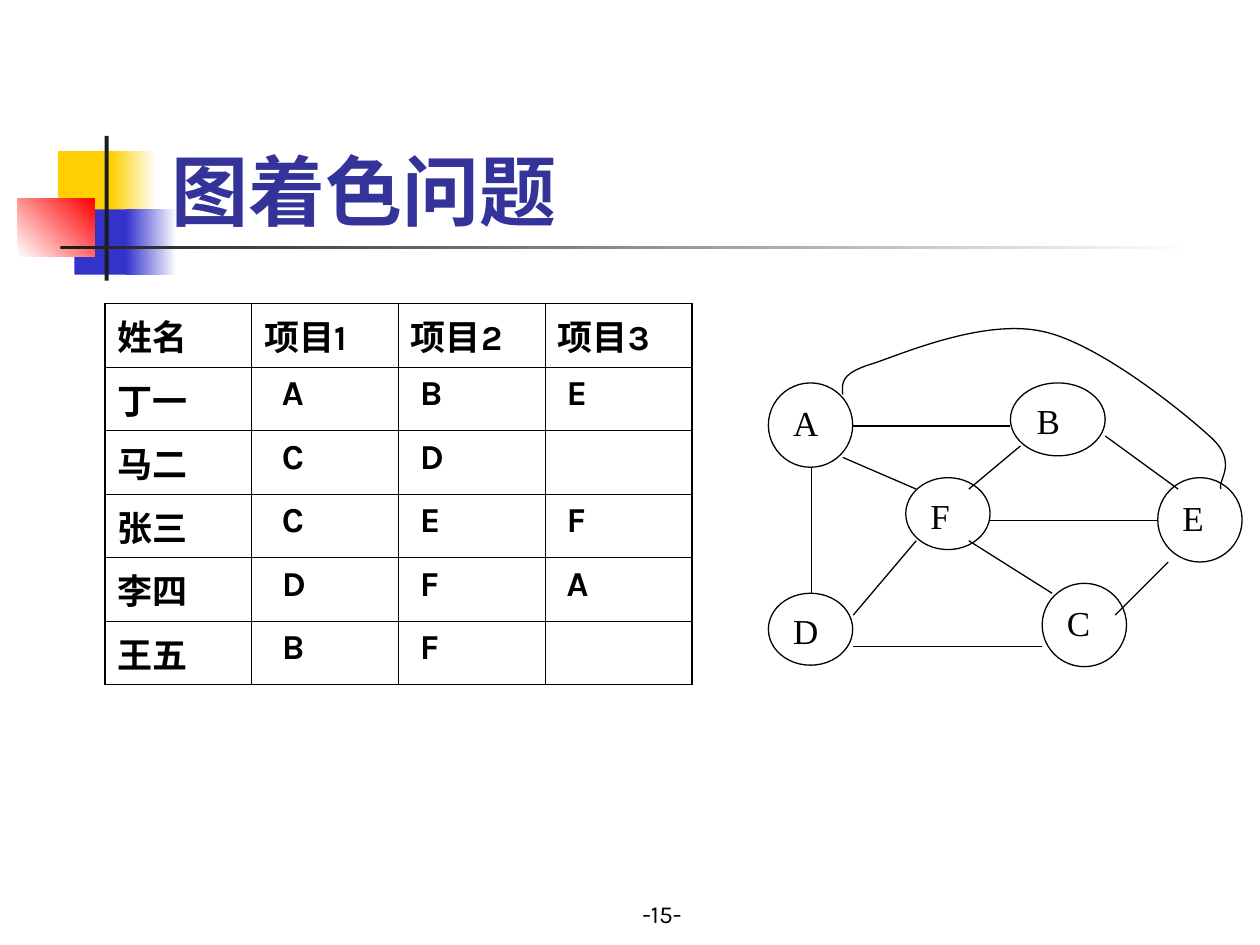
"""Build the graph colouring slide: entry table and conflict graph."""
from lxml import etree
from pptx import Presentation
from pptx import util as u
from pptx.dml import color
from pptx.enum import shapes, text
from pptx.oxml import ns


def tint(target, value):
    target.rgb = color.RGBColor.from_string(value)


def write(frame, words, size=20, font="Karla", hue="000000", bold=False,
          align=text.PP_ALIGN.LEFT, anchor=text.MSO_ANCHOR.TOP, before=0, indent=0):
    frame.word_wrap = True
    frame.vertical_anchor = anchor
    para = frame.paragraphs[0]
    para.alignment = align
    para.space_before = u.Pt(before)
    para._p.get_or_add_pPr().set("marL", str(u.Cm(indent)))
    span = para.add_run()
    span.text = words
    span.font.size = u.Pt(size)
    span.font.name = font
    span.font.bold = bold
    tint(span.font.color, hue)


deck = Presentation()
deck.slide_width = u.Cm(25.4)
deck.slide_height = u.Cm(19.05)
page = deck.slides.add_slide(deck.slide_layouts[6])

ornaments = [
    (1.17, 3.05, 1.22, 1.32, ["FFCF01"], 0),
    (2.24, 3.05, 0.91, 1.32, ["FFCF01", "FFFFFF"], 0),
    (1.5, 4.22, 1.17, 1.32, ["3333CC"], 0),
    (2.54, 4.22, 1.02, 1.32, ["3333CC", "FFFFFF"], 0),
    (0.36, 4.01, 1.55, 1.17, ["FFFFFF", "FF0000"], 45),
    (2.11, 2.74, 0.08, 2.92, ["1C1C1C"], 0),
    (1.22, 4.95, 22.86, 0.08, ["1C1C1C", "FFFFFF"], 0),
]
for left, top, width, height, hues, angle in ornaments:
    block = page.shapes.add_shape(shapes.MSO_SHAPE.RECTANGLE, u.Cm(left), u.Cm(top),
                                  u.Cm(width), u.Cm(height))
    block.shadow.inherit = False
    block.line.fill.background()
    if len(hues) == 1:
        block.fill.solid()
        tint(block.fill.fore_color, hues[0])
    else:
        block.fill.gradient()
        block.fill.gradient_angle = angle
        for stop, hue in zip(block.fill.gradient_stops, hues):
            tint(stop.color, hue)

title = page.shapes.add_textbox(u.Cm(3.2), u.Cm(1.7), u.Cm(21.64), u.Cm(3.18))
write(title.text_frame, "图着色问题", size=44, hue="333399", bold=True,
      anchor=text.MSO_ANCHOR.BOTTOM)
number = page.shapes.add_textbox(u.Cm(9.32), u.Cm(17.58), u.Cm(8.05), u.Cm(1.27))
write(number.text_frame, "-15-", size=14, align=text.PP_ALIGN.CENTER,
      anchor=text.MSO_ANCHOR.BOTTOM)

entries = [
    ["姓名", "项目1", "项目2", "项目3"],
    ["丁一", "A", "B", "E"],
    ["马二", "C", "D", ""],
    ["张三", "C", "E", "F"],
    ["李四", "D", "F", "A"],
    ["王五", "B", "F", ""],
]
indents = [0, 0.36, 0.18, 0.18]
last_row, last_col = len(entries) - 1, len(indents) - 1
table = page.shapes.add_table(len(entries), len(indents), u.Cm(2.11), u.Cm(6.12),
                              u.Cm(11.84), u.Cm(7.68)).table
table.first_row = False
table.horz_banding = False
for column in table.columns:
    column.width = u.Cm(2.96)
for r, entry in enumerate(entries):
    table.rows[r].height = u.Cm(1.28)
    for c, words in enumerate(entry):
        cell = table.cell(r, c)
        cell.fill.background()
        if words:
            write(cell.text_frame, words, bold=True, before=5,
                  indent=indents[c] if r else 0)
        outer = {"lnL": c == 0, "lnR": c == last_col, "lnT": r == 0, "lnB": r == last_row}
        for place, (side, thick) in enumerate(outer.items()):
            border = etree.Element(ns.qn(f"a:{side}"), w=str(u.Pt(1.08 if thick else 0.45)))
            solid = etree.SubElement(border, ns.qn("a:solidFill"))
            etree.SubElement(solid, ns.qn("a:srgbClr"), val="000000")
            cell._tc.get_or_add_tcPr().insert(place, border)

outlines = []
nodes = [
    ("A", 15.49, 7.72, 1.7, 1.7),
    ("E", 23.34, 9.63, 1.7, 1.7),
    ("B", 20.37, 7.72, 1.91, 1.47),
    ("F", 18.26, 9.63, 1.7, 1.45),
    ("D", 15.49, 11.96, 1.7, 1.45),
    ("C", 21.01, 11.76, 1.7, 1.68),
]
for name, left, top, width, height in nodes:
    node = page.shapes.add_shape(shapes.MSO_SHAPE.OVAL, u.Cm(left), u.Cm(top),
                                 u.Cm(width), u.Cm(height))
    node.shadow.inherit = False
    node.fill.background()
    write(node.text_frame, name, font="Times New Roman", align=text.PP_ALIGN.JUSTIFY)
    outlines.append(node)

edges = [
    (16.36, 9.42, 16.36, 11.96),
    (17.2, 8.59, 20.37, 8.59),
    (16.99, 9.22, 18.47, 9.86),
    (19.94, 10.49, 23.34, 10.49),
    (22.28, 8.79, 23.75, 9.86),
    (20.57, 8.99, 19.53, 9.86),
    (17.2, 13.03, 21.01, 13.03),
    (23.55, 11.33, 22.48, 12.4),
    (18.47, 10.9, 17.2, 12.4),
    (19.53, 10.9, 21.21, 11.96),
]
for ends in edges:
    edge = page.shapes.add_connector(shapes.MSO_CONNECTOR.STRAIGHT, *map(u.Cm, ends))
    outlines.append(edge)

bends = [
    (16.99, 7.95), (16.97, 7.72), (16.94, 7.52), (17.63, 7.32), (18.29, 7.09),
    (19.86, 6.43), (21.01, 6.68), (22.12, 6.91), (23.8, 8.26), (24.38, 8.79),
    (24.99, 9.32), (24.54, 9.68), (24.61, 9.86),
]
start, *others = [(u.Cm(x), u.Cm(y)) for x, y in bends]
builder = page.shapes.build_freeform(*start)
builder.add_line_segments(others, close=False)
arc = builder.convert_to_shape()
arc.shadow.inherit = False
arc.fill.background()
segments = list(arc._element.iter(ns.qn("a:lnTo")))
for first in range(0, len(segments), 3):
    curve = etree.SubElement(segments[first].getparent(), ns.qn("a:cubicBezTo"))
    for segment in segments[first:first + 3]:
        curve.append(segment[0])
        segment.getparent().remove(segment)
outlines.append(arc)

for outline in outlines:
    outline.line.width = u.Pt(0.75)
    outline.line.fill.solid()
    tint(outline.line.color, "000000")
    if outline.shape_type == shapes.MSO_SHAPE_TYPE.LINE:
        etree.SubElement(outline._element.spPr, ns.qn("a:effectLst"))

deck.save("out.pptx")
